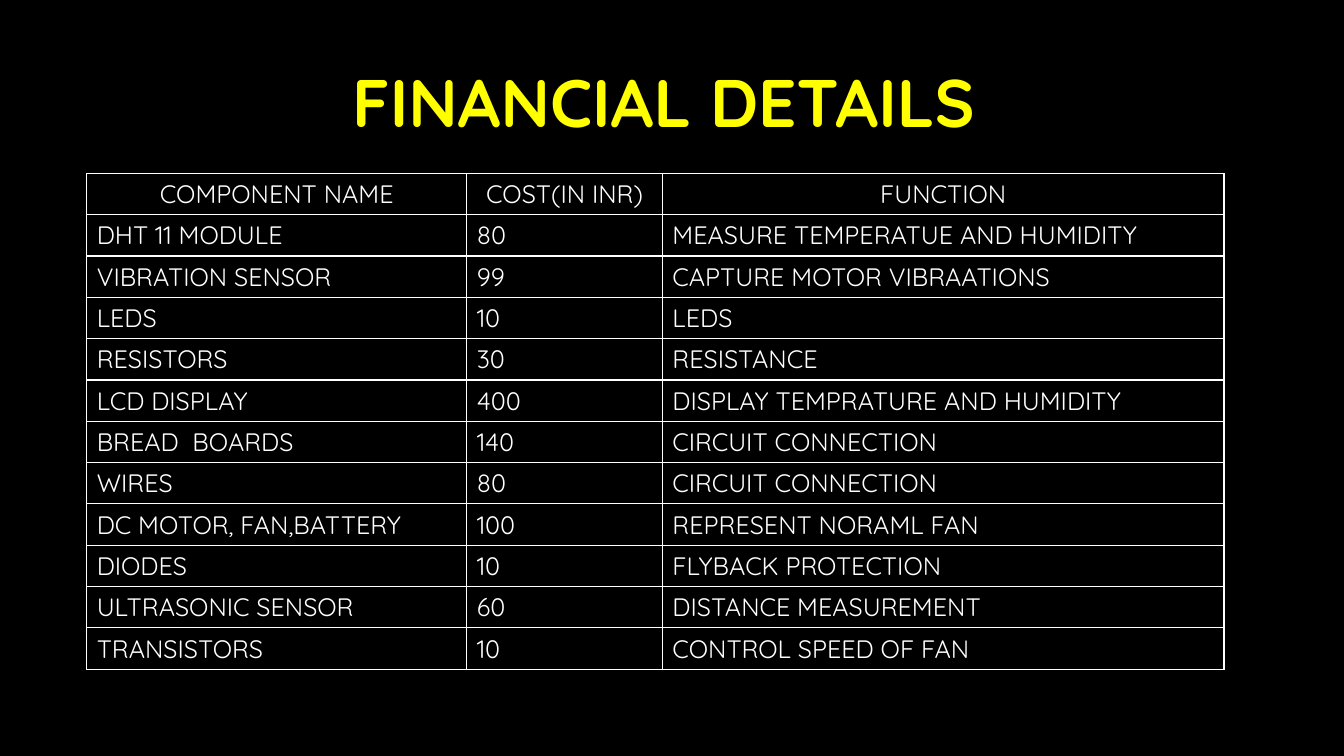
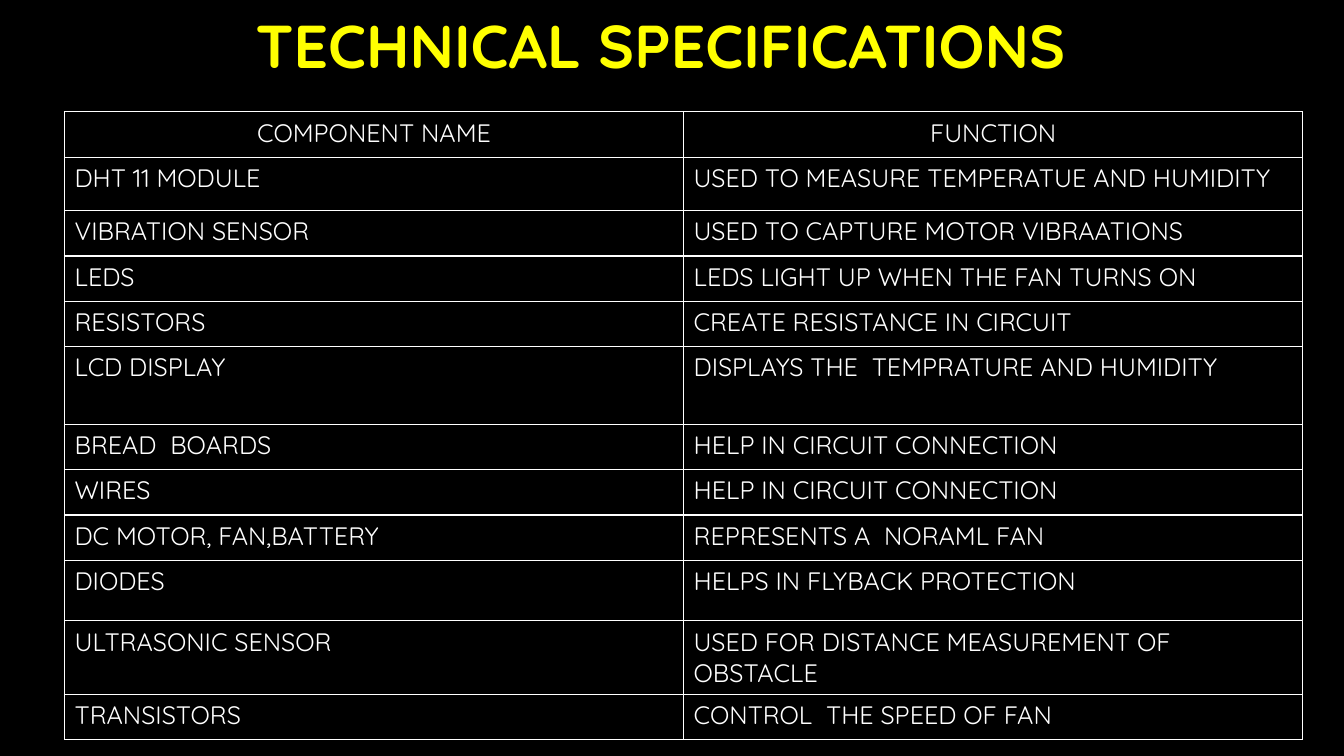
"""Build two slides that tabulate the components of a fan project."""
from lxml import etree
from pptx import Presentation
from pptx.dml.color import RGBColor
from pptx.enum import text
from pptx.oxml import ns
from pptx.util import Inches, Pt

COLORS = {"background": "000000", "title": "FFFF00", "body": "FFFFFF"}
FONT = "Quicksand"
BODY_SIZE = 18
BORDER_WIDTH = 1
BORDER_SIDES = ("lnL", "lnR", "lnT", "lnB")

COMPONENTS = [
    "DHT 11 MODULE", "VIBRATION SENSOR", "LEDS", "RESISTORS", "LCD DISPLAY",
    "BREAD  BOARDS", "WIRES", "DC MOTOR, FAN,BATTERY", "DIODES",
    "ULTRASONIC SENSOR", "TRANSISTORS",
]
COSTS = ["80", "99", "10", "30", "400", "140", "80", "100", "10", "60", "10"]
SHORT_FUNCTIONS = [
    "MEASURE TEMPERATUE AND HUMIDITY", "CAPTURE MOTOR VIBRAATIONS", "LEDS",
    "RESISTANCE", "DISPLAY TEMPRATURE AND HUMIDITY", "CIRCUIT CONNECTION",
    "CIRCUIT CONNECTION", "REPRESENT NORAML FAN", "FLYBACK PROTECTION",
    "DISTANCE MEASUREMENT", "CONTROL SPEED OF FAN",
]
LONG_FUNCTIONS = [
    "USED TO MEASURE TEMPERATUE AND HUMIDITY",
    "USED TO CAPTURE MOTOR VIBRAATIONS",
    "LEDS LIGHT UP WHEN THE FAN TURNS ON",
    "CREATE RESISTANCE IN CIRCUIT",
    "DISPLAYS THE  TEMPRATURE AND HUMIDITY",
    "HELP IN CIRCUIT CONNECTION",
    "HELP IN CIRCUIT CONNECTION",
    "REPRESENTS A  NORAML FAN",
    "HELPS IN FLYBACK PROTECTION",
    "USED FOR DISTANCE MEASUREMENT OF OBSTACLE",
    "CONTROL  THE SPEED OF FAN",
]

PAGES = [
    {
        "title": "FINANCIAL DETAILS",
        "title_size": 48,
        "title_box": (0.25, 0.32, 12.66, 1.13),
        "table_corner": (0.86, 1.72),
        "widths": [3.77, 1.94, 5.57],
        "row_height": 0.41,
        "tall_rows": {},
        "columns": {"COMPONENT NAME": COMPONENTS, "COST(IN INR)": COSTS,
                    "FUNCTION": SHORT_FUNCTIONS},
    },
    {
        "title": "TECHNICAL SPECIFICATIONS",
        "title_size": 43.2,
        "title_box": (0.07, 0.05, 12.96, 0.8),
        "table_corner": (0.64, 1.11),
        "widths": [6.14, 6.14],
        "row_height": 0.45,
        "tall_rows": {1: 0.53, 5: 0.77, 9: 0.6, 10: 0.73},
        "columns": {"COMPONENT NAME": COMPONENTS, "FUNCTION": LONG_FUNCTIONS},
    },
]


def write(frame, words, size, color, align, bold=False):
    frame.text = words
    para = frame.paragraphs[0]
    para.alignment = align
    para.font.name = FONT
    para.font.size = Pt(size)
    para.font.bold = bold
    para.font.color.rgb = RGBColor.from_string(COLORS[color])


def style_cell(cell):
    properties = cell._tc.get_or_add_tcPr()
    for side in BORDER_SIDES:
        line = etree.SubElement(properties, ns.qn(f"a:{side}"), w=str(Pt(BORDER_WIDTH)))
        fill = etree.SubElement(line, ns.qn("a:solidFill"))
        etree.SubElement(fill, ns.qn("a:srgbClr"), val=COLORS["body"])
    cell.fill.solid()
    cell.fill.fore_color.rgb = RGBColor.from_string(COLORS["background"])


deck = Presentation()
deck.slide_width = Inches(13.33)
deck.slide_height = Inches(7.5)
backdrop = deck.slide_master.background.fill
backdrop.solid()
backdrop.fore_color.rgb = RGBColor.from_string(COLORS["background"])

for content in PAGES:
    page = deck.slides.add_slide(deck.slide_layouts[6])

    title = page.shapes.add_textbox(*map(Inches, content["title_box"])).text_frame
    title.word_wrap = True
    title.vertical_anchor = text.MSO_ANCHOR.BOTTOM
    write(title, content["title"], content["title_size"], "title",
          text.PP_ALIGN.CENTER, bold=True)

    rows = [list(content["columns"]), *zip(*content["columns"].values())]
    heights = [content["tall_rows"].get(index, content["row_height"])
               for index in range(len(rows))]
    left, top = content["table_corner"]
    table = page.shapes.add_table(
        len(rows), len(content["widths"]), Inches(left), Inches(top),
        Inches(sum(content["widths"])), Inches(sum(heights))).table
    table.first_row = False
    table.horz_banding = False
    for column, width in zip(table.columns, content["widths"]):
        column.width = Inches(width)
    for index, (row, height, values) in enumerate(zip(table.rows, heights, rows)):
        row.height = Inches(height)
        align = text.PP_ALIGN.LEFT if index else text.PP_ALIGN.CENTER
        for cell, value in zip(row.cells, values):
            write(cell.text_frame, value, BODY_SIZE, "body", align)
            style_cell(cell)

deck.save("out.pptx")
